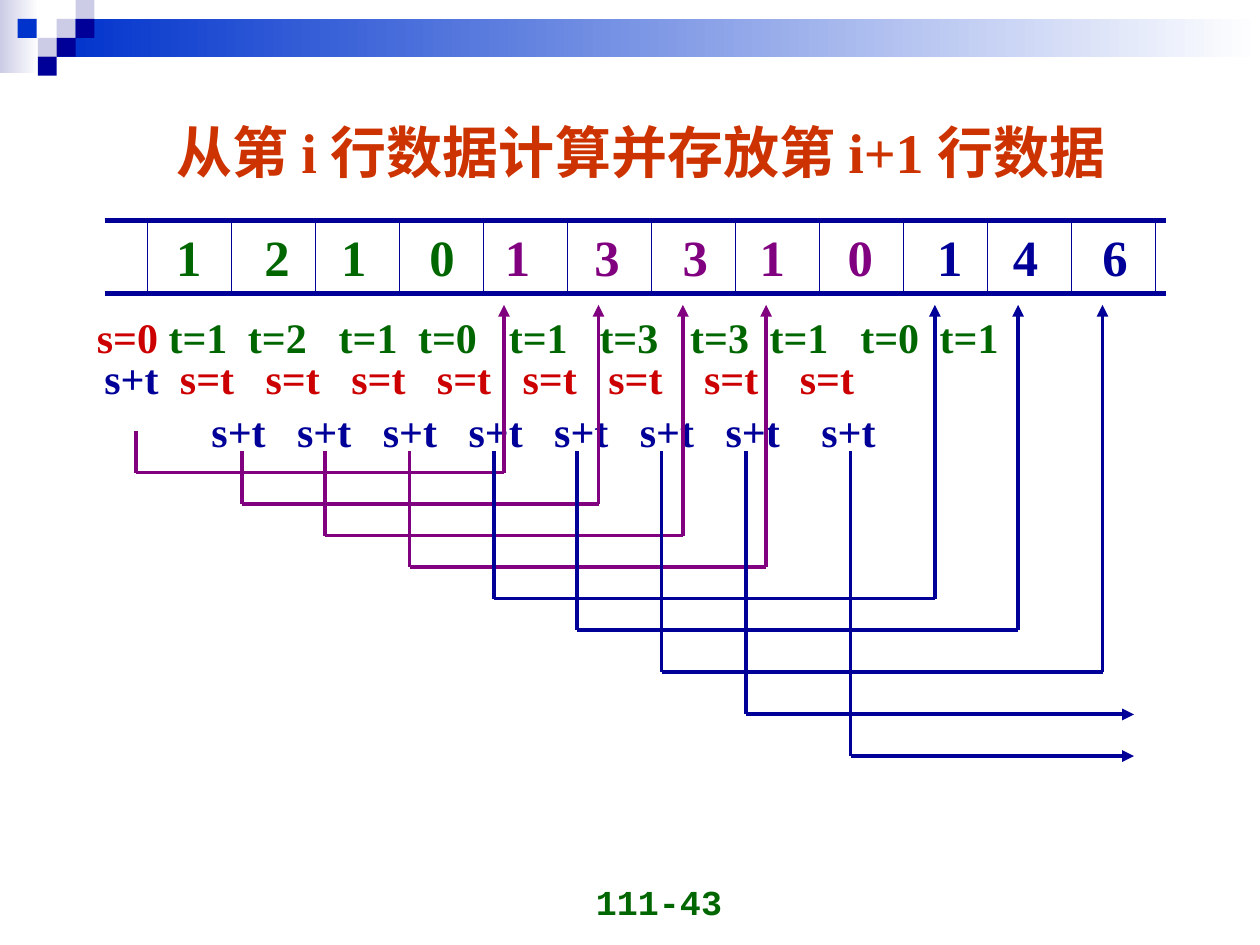
"""Build the slide on computing row i+1 from row i of Pascal's triangle."""
from lxml.etree import SubElement
from pptx import Presentation
from pptx.dml.color import RGBColor
from pptx.enum.shapes import MSO_CONNECTOR, MSO_SHAPE
from pptx.enum.text import MSO_ANCHOR, PP_ALIGN
from pptx.oxml.ns import qn
from pptx.util import Inches, Pt

NAVY = RGBColor(0x00, 0x00, 0x99)
BLUE = RGBColor(0x00, 0x33, 0xCC)
LAVENDER = RGBColor(0xCC, 0xCC, 0xE6)
WHITE = RGBColor(0xFF, 0xFF, 0xFF)
GREEN = RGBColor(0x00, 0x66, 0x00)
PURPLE = RGBColor(0x80, 0x00, 0x80)
RED = RGBColor(0xCC, 0x00, 0x00)
ORANGE = RGBColor(0xCC, 0x33, 0x00)

SERIF = "Times New Roman"
INSET = 0.1
TITLE = "从第 i 行数据计算并存放第 i+1 行数据"
PAGE_NUMBER = "111-43"

BANDS = [(0, 0, 0.31, 0.58, LAVENDER), (0.45, 0.15, 9.55, 0.3, BLUE)]
SQUARES = [
    (0.45, 0.15, LAVENDER), (0.6, 0, LAVENDER), (0.6, 0.15, NAVY),
    (0.3, 0.3, LAVENDER), (0.14, 0.15, BLUE), (0.45, 0.3, NAVY),
    (0.3, 0.45, NAVY),
]

ROWS = [
    {"box": (1.3, 1.74, 7.76, 0.59), "size": 29,
     "groups": [("1 2 1 0", GREEN), ("1 3 3 1 0", PURPLE), ("1 4 6", NAVY)],
     "stops": [2.1, 2.71, 3.41, 4.01, 4.72, 5.42, 6.03, 6.73, 7.44, 8.04, 8.75]},
    {"box": (0.67, 2.42, 7.36, 0.5), "size": 24,
     "groups": [("s=0", RED),
                ("t=1 t=2 t=1 t=0 t=1 t=3 t=3 t=1 t=0 t=1", GREEN)],
     "stops": [1.34, 1.97, 2.69, 3.32, 4.04, 4.76, 5.48, 6.11, 6.83, 7.46]},
    {"box": (0.73, 2.75, 6.16, 0.5), "size": 24,
     "groups": [("s+t", NAVY), ("s=t s=t s=t s=t s=t s=t s=t s=t", RED)],
     "stops": [1.43, 2.11, 2.79, 3.47, 4.15, 4.83, 5.59, 6.35]},
    {"box": (1.58, 3.17, 5.48, 0.5), "size": 24,
     "groups": [("s+t s+t s+t s+t s+t s+t s+t s+t", NAVY)],
     "stops": [2.36, 3.04, 3.72, 4.4, 5.08, 5.76, 6.52]},
]

STRIP_LEFT, STRIP_RIGHT, STRIP_TOP, STRIP_BOTTOM = 0.83, 9.25, 1.75, 2.33
FIRST_DIVIDER, CELL_WIDTH, DIVIDER_COUNT = 1.17, 2 / 3, 13

ARROW_TOP = 2.42
ROUTES = [
    (1.08, 3.42, 3.75, 4, PURPLE), (1.92, 3.58, 4, 4.75, PURPLE),
    (2.58, 3.58, 4.25, 5.42, PURPLE), (3.25, 3.58, 4.5, 6.08, PURPLE),
    (3.92, 3.58, 4.75, 7.42, NAVY), (4.58, 3.58, 5, 8.08, NAVY),
    (5.25, 3.58, 5.33, 8.75, NAVY),
]
EXITS = [(5.92, 3.58, 5.67, 9, NAVY), (6.75, 3.58, 6, 9, NAVY)]


def add_rectangle(slide, left, top, width, height, color, fade=False):
    shape = slide.shapes.add_shape(
        MSO_SHAPE.RECTANGLE, *map(Inches, (left, top, width, height)))
    shape.shadow.inherit = False
    shape.line.fill.background()
    if fade:
        shape.fill.gradient()
        shape.fill.gradient_angle = 0
        for stop, stop_color, position in zip(
                shape.fill.gradient_stops, (color, WHITE), (0, 1)):
            stop.color.rgb = stop_color
            stop.position = position
    else:
        shape.fill.solid()
        shape.fill.fore_color.rgb = color


def add_line(slide, start, end, color, width, arrow=False):
    connector = slide.shapes.add_connector(
        MSO_CONNECTOR.STRAIGHT, *map(Inches, (*start, *end)))
    connector.line.color.rgb = color
    connector.line.width = Pt(width)
    if arrow:
        SubElement(connector.line._get_or_add_ln(), qn("a:tailEnd"), type="triangle")
    SubElement(connector._element.spPr, qn("a:effectLst"))


def add_text(slide, box, groups, size, font=SERIF, align=PP_ALIGN.LEFT,
             anchor=MSO_ANCHOR.TOP, stops=()):
    shape = slide.shapes.add_textbox(*map(Inches, box))
    text_frame = shape.text_frame
    text_frame.word_wrap = True
    text_frame.vertical_anchor = anchor
    paragraph = text_frame.paragraphs[0]
    paragraph.alignment = align
    if stops:
        tab_list = SubElement(paragraph._p.get_or_add_pPr(), qn("a:tabLst"))
        for stop in stops:
            SubElement(tab_list, qn("a:tab"), algn="l",
                       pos=str(Inches(stop - box[0] - INSET)))
    for text, color in groups:
        run = paragraph.add_run()
        run.text = text
        run.font.name = font
        run.font.size = Pt(size)
        run.font.bold = True
        run.font.color.rgb = color


def add_row(slide, row):
    left, top, width, height = row["box"]
    groups = [(("\t" if index else "") + text.replace(" ", "\t"), color)
              for index, (text, color) in enumerate(row["groups"])]
    add_text(slide, (left, top, width + 0.2, height), groups, row["size"],
             stops=row["stops"])


def add_strip(slide):
    for y in (STRIP_TOP, STRIP_BOTTOM):
        add_line(slide, (STRIP_LEFT, y), (STRIP_RIGHT, y), NAVY, 3)
    for index in range(DIVIDER_COUNT):
        x = FIRST_DIVIDER + index * CELL_WIDTH
        add_line(slide, (x, STRIP_TOP), (x, STRIP_BOTTOM), NAVY, 0.75)


def add_route(slide, route, rises):
    left, top, bottom, right, color = route
    add_line(slide, (left, top), (left, bottom), color, 2.25)
    add_line(slide, (left, bottom), (right, bottom), color, 2.25, not rises)
    if rises:
        add_line(slide, (right, bottom), (right, ARROW_TOP), color, 2.25, True)


def main():
    presentation = Presentation()
    presentation.slide_width = Inches(10)
    presentation.slide_height = Inches(7.5)
    slide = presentation.slides.add_slide(presentation.slide_layouts[6])
    for band in BANDS:
        add_rectangle(slide, *band, fade=True)
    for left, top, color in SQUARES:
        add_rectangle(slide, left, top, 0.15, 0.15, color)
    add_text(slide, (3.5, 6.87, 2.33, 0.5), [(PAGE_NUMBER, GREEN)], 20,
             "Courier New", PP_ALIGN.RIGHT, MSO_ANCHOR.BOTTOM)
    add_text(slide, (0.59, 0.88, 9, 0.64), [(TITLE, ORANGE)], 32,
             align=PP_ALIGN.CENTER)
    add_strip(slide)
    for row in ROWS:
        add_row(slide, row)
    for route in ROUTES:
        add_route(slide, route, True)
    for route in EXITS:
        add_route(slide, route, False)
    presentation.save("out.pptx")


if __name__ == "__main__":
    main()
